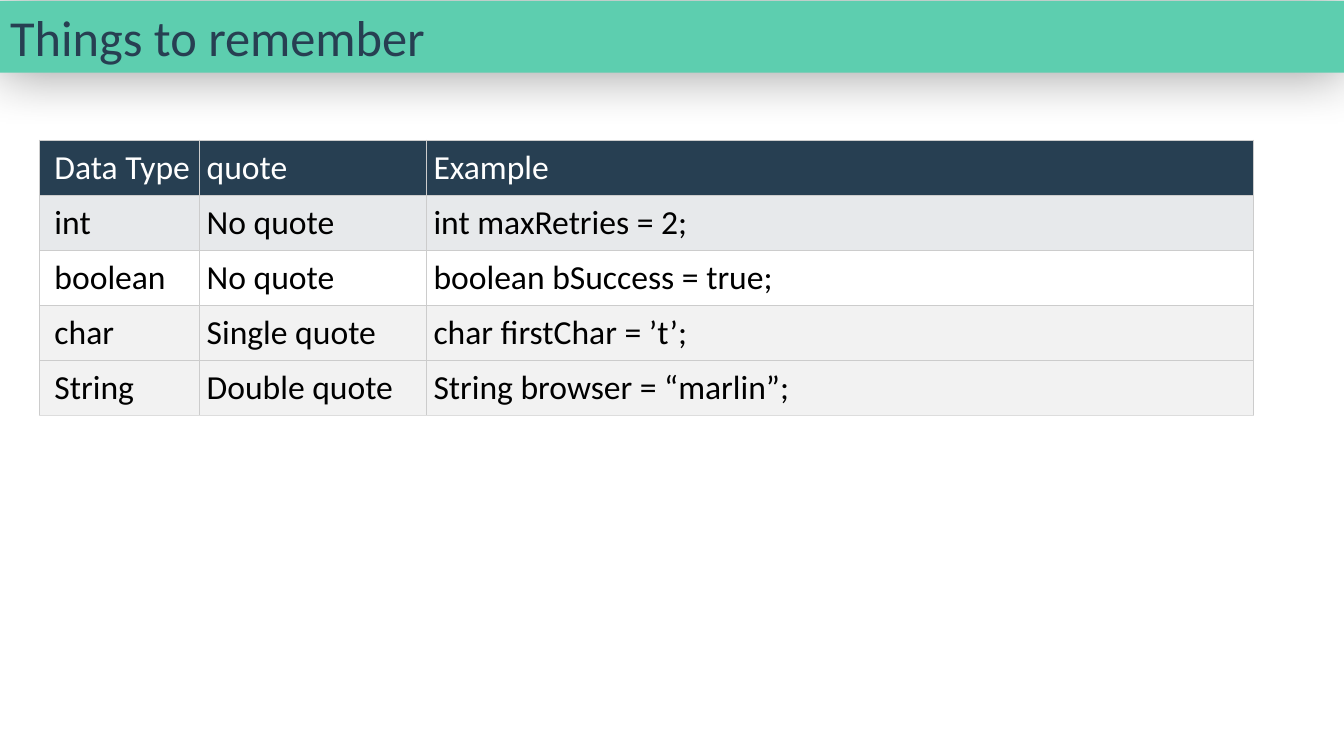
from lxml import etree
from pptx import Presentation, oxml
from pptx import util as u
from pptx.dml.color import RGBColor
from pptx.enum import text
from pptx.oxml import ns

THEME = {
    "font": "Calibri",
    "title_size": u.Pt(36),
    "table_size": u.Pt(24),
    "banner": "5DCEAF",
    "navy": "273F52",
    "white": "FFFFFF",
    "black": "000000",
    "border": "CCCCCC",
    "bottom_border": "DDDDDD",
    "row_fills": ["273F52", "E7E9EB", "FFFFFF", "F2F2F2", "F2F2F2"],
}
ROWS = [
    ["Data Type", "quote", "Example"],
    ["int", "No quote", "int maxRetries = 2;"],
    ["boolean", "No quote", "boolean bSuccess = true;"],
    ["char", "Single quote", "char firstChar = ’t’;"],
    ["String", "Double quote", "String browser = “marlin”;"],
]
COLUMN_WIDTHS = [1.59, 2.25, 8.2]
ROW_HEIGHT = 0.54


def write_text(frame, content, size, color):
    paragraph = frame.paragraphs[0]
    paragraph.alignment = text.PP_ALIGN.LEFT
    run = paragraph.add_run()
    run.text = content
    for name, value in {"name": THEME["font"], "size": size}.items():
        setattr(run.font, name, value)
    run.font.color.rgb = RGBColor.from_string(color)


presentation = Presentation()
presentation.slide_width = u.Inches(13.33)
presentation.slide_height = u.Inches(7.5)
slide = presentation.slides.add_slide(presentation.slide_layouts[5])

title = slide.shapes.title
title_box = {"left": 0, "top": 0.01, "width": 13.33, "height": 0.71}
for name, value in title_box.items():
    setattr(title, name, u.Inches(value))
title.fill.solid()
title.fill.fore_color.rgb = RGBColor.from_string(THEME["banner"])
title.line.fill.background()
title.text_frame.auto_size = text.MSO_AUTO_SIZE.NONE
title.text_frame.vertical_anchor = text.MSO_ANCHOR.MIDDLE
write_text(title.text_frame, "Things to remember", THEME["title_size"], THEME["navy"])
title.element.spPr.append(oxml.parse_xml(
    f'<a:effectLst {ns.nsdecls("a")}><a:outerShdw blurRad="{u.Pt(39)}" dist="0" dir="0">'
    f'<a:srgbClr val="{THEME["black"]}"><a:alpha val="40000"/></a:srgbClr>'
    '</a:outerShdw></a:effectLst>'
))

table = slide.shapes.add_table(
    len(ROWS), len(COLUMN_WIDTHS), u.Inches(0.39), u.Inches(1.39),
    u.Inches(sum(COLUMN_WIDTHS)), u.Inches(ROW_HEIGHT * len(ROWS)),
).table
for column, width in zip(table.columns, COLUMN_WIDTHS):
    column.width = u.Inches(width)

for row_index, values in enumerate(ROWS):
    table.rows[row_index].height = u.Inches(ROW_HEIGHT)
    text_color = THEME["white"] if row_index == 0 else THEME["black"]
    last_row = row_index == len(ROWS) - 1
    for column_index, value in enumerate(values):
        cell = table.cell(row_index, column_index)
        margins = {
            "margin_left": 0.15 if column_index == 0 else 0.07,
            "margin_right": 0.07,
            "margin_top": 0.07,
            "margin_bottom": 0.07,
        }
        for name, margin in margins.items():
            setattr(cell, name, u.Inches(margin))
        write_text(cell.text_frame, value, THEME["table_size"], text_color)
        properties = cell._tc.get_or_add_tcPr()
        for side in ["lnL", "lnR", "lnT", "lnB"]:
            line = etree.SubElement(properties, ns.qn(f"a:{side}"), w=str(u.Pt(0.75)))
            fill = etree.SubElement(line, ns.qn("a:solidFill"))
            color = THEME["bottom_border"] if last_row and side == "lnB" else THEME["border"]
            etree.SubElement(fill, ns.qn("a:srgbClr"), val=color)
        cell.fill.solid()
        cell.fill.fore_color.rgb = RGBColor.from_string(THEME["row_fills"][row_index])
        properties.append(properties.find(ns.qn("a:solidFill")))

presentation.save("out.pptx")
